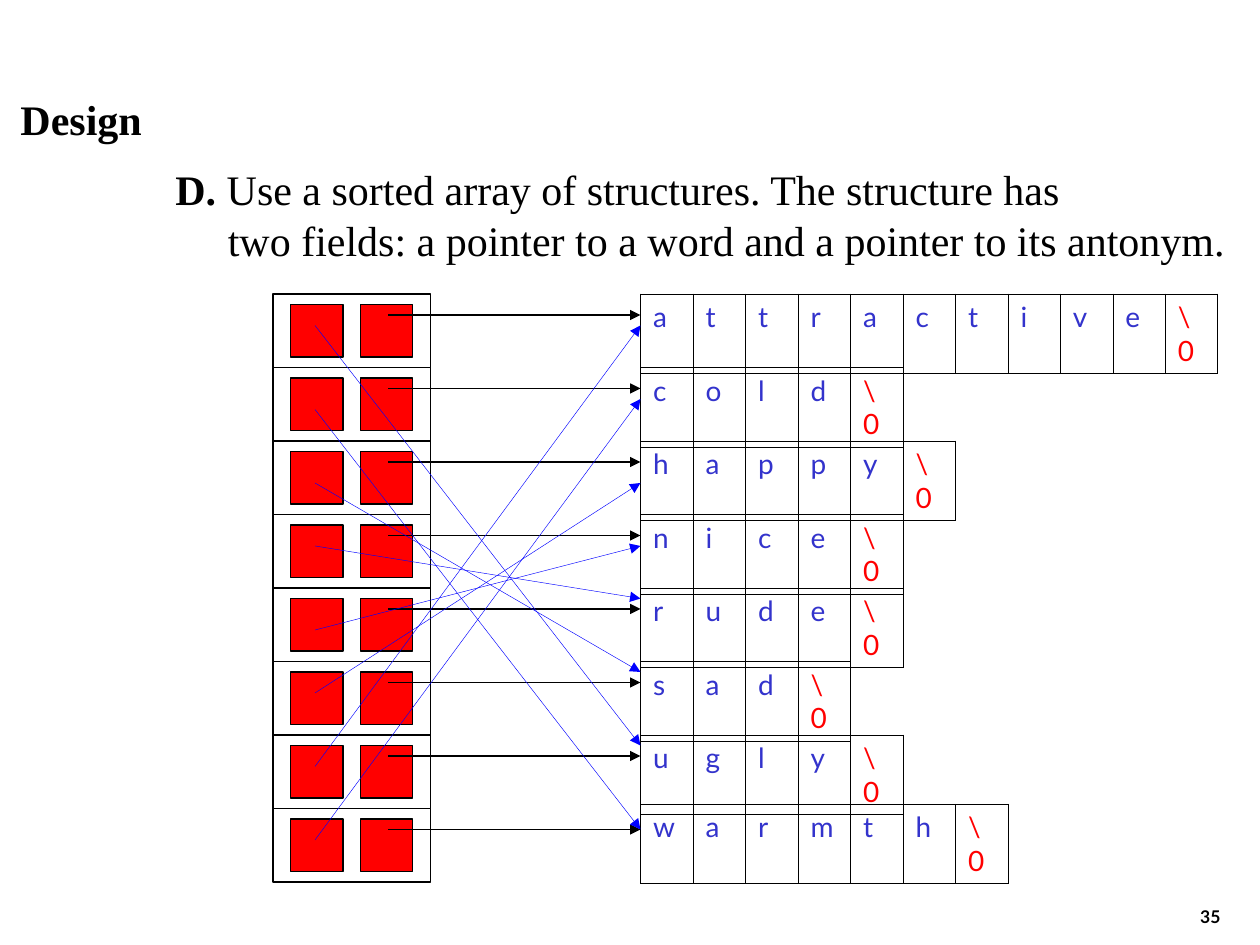
import pptx
import pptx.dml.color
import pptx.enum.shapes
import pptx.enum.text
import pptx.oxml
import pptx.oxml.ns
import pptx.util

Pt = pptx.util.Pt
RGBColor = pptx.dml.color.RGBColor
MSO_SHAPE = pptx.enum.shapes.MSO_SHAPE
MSO_CONNECTOR = pptx.enum.shapes.MSO_CONNECTOR
MSO_ANCHOR = pptx.enum.text.MSO_ANCHOR
MSO_AUTO_SIZE = pptx.enum.text.MSO_AUTO_SIZE
PP_ALIGN = pptx.enum.text.PP_ALIGN
NS = pptx.oxml.ns.nsdecls("a")

BLACK = RGBColor(0x00, 0x00, 0x00)
WHITE = RGBColor(0xFF, 0xFF, 0xFF)
RED = RGBColor(0xFF, 0x00, 0x00)
BLUE = RGBColor(0x00, 0x00, 0xFF)
INDIGO = RGBColor(0x33, 0x33, 0xCC)

TITLE = "Design"
BODY = [
    (0, [("D. ", True), ("Use a sorted array of structures. The structure has", False)]),
    (30, [("two fields: a pointer to a word and a pointer to its antonym.", False)]),
]
NUMBER = "35"
WORDS = ["attractive", "cold", "happy", "nice", "rude", "sad", "ugly", "warmth"]
WORD_TOPS = [168, 210, 252, 294, 336, 378, 420, 459.5]
ANTONYMS = [
    ("attractive", 18, "ugly", 6),
    ("cold", 24, "warmth", 14.5),
    ("happy", 24, "sad", 6),
    ("nice", 18, "rude", 6),
    ("rude", 24, "nice", 18),
    ("sad", 18, "happy", 24),
    ("ugly", 18, "attractive", 18),
    ("warmth", 18, "cold", 18),
]

ARRAY_X, ARRAY_Y, ARRAY_W, PITCH = 156, 168, 90, 42
FIELD_XS, FIELD_DY, FIELD = (205.9, 166), 6, 30
WORD_X, COL_W, ROW_H = 366, 30, 27
HEADING = {"name": "Times New Roman", "size": Pt(24), "color": BLACK}
LETTER = {"name": "Lato", "size": Pt(16)}


def style(font, formats):
    for key, value in formats.items():
        if key == "color":
            font.color.rgb = value
        else:
            setattr(font, key, value)


def frame(sp, box, anchor):
    for key, value in zip(("left", "top", "width", "height"), box):
        setattr(sp, key, Pt(value))
    tf = sp.text_frame
    for key, value in {"auto_size": MSO_AUTO_SIZE.NONE, "word_wrap": True,
                       "vertical_anchor": anchor}.items():
        setattr(tf, key, value)
    return tf


def add_box(shapes, x, y, w, h, fill):
    sp = shapes.add_shape(MSO_SHAPE.RECTANGLE, Pt(x), Pt(y), Pt(w), Pt(h))
    sp.shadow.inherit = False
    sp.fill.solid()
    sp.fill.fore_color.rgb = fill
    sp.line.color.rgb = BLACK
    sp.line.width = Pt(0.75)


def add_arrow(shapes, x1, y1, x2, y2, color, width):
    c = shapes.add_connector(MSO_CONNECTOR.STRAIGHT, Pt(x1), Pt(y1), Pt(x2), Pt(y2))
    c.line.color.rgb = color
    c.line.width = Pt(width)
    c.line._get_or_add_ln().append(
        pptx.oxml.parse_xml(f'<a:tailEnd {NS} type="triangle"/>'))
    c._element.spPr.append(pptx.oxml.parse_xml(f"<a:effectLst {NS}/>"))


def add_borders(cell):
    tcPr = cell._tc.get_or_add_tcPr()
    for i, side in enumerate(("lnL", "lnR", "lnT", "lnB")):
        tcPr.insert(i, pptx.oxml.parse_xml(
            f'<a:{side} {NS} w="{Pt(0.45)}"><a:solidFill>'
            f'<a:srgbClr val="{BLACK}"/></a:solidFill></a:{side}>'))


def add_word(shapes, word, y):
    letters = list(word) + ["\\0"]
    n = len(letters)
    table = shapes.add_table(1, n, Pt(WORD_X), Pt(y), Pt(n * COL_W), Pt(ROW_H)).table
    table.first_row = table.horz_banding = False
    for i, letter in enumerate(letters):
        table.columns[i].width = Pt(COL_W)
        cell = table.cell(0, i)
        cell.fill.background()
        add_borders(cell)
        r = cell.text_frame.paragraphs[0].add_run()
        r.text = letter
        style(r.font, {**LETTER, "color": RED if i == n - 1 else INDIGO})


prs = pptx.Presentation()
prs.slide_width, prs.slide_height = Pt(720), Pt(540)
s = prs.slides.add_slide(prs.slide_layouts[1])

tf = frame(s.shapes.title, (4.5, 49.7, 155.5, 36), MSO_ANCHOR.TOP)
p = tf.paragraphs[0]
p.alignment = PP_ALIGN.LEFT
r = p.add_run()
r.text = TITLE
style(r.font, {**HEADING, "bold": True})

tf = frame(s.placeholders[1], (93, 90, 624, 65), MSO_ANCHOR.TOP)
for i, (indent, runs) in enumerate(BODY):
    p = tf.add_paragraph() if i else tf.paragraphs[0]
    pPr = p._p.get_or_add_pPr()
    pPr.set("marL", str(Pt(indent)))
    pPr.set("indent", "0")
    pPr.append(pptx.oxml.parse_xml(f"<a:buNone {NS}/>"))
    p.space_before = Pt(0)
    for text, bold in runs:
        r = p.add_run()
        r.text = text
        style(r.font, {**HEADING, "bold": bold})

for word, y in zip(WORDS, WORD_TOPS):
    add_word(s.shapes, word, y)

for i in range(len(WORDS)):
    y = ARRAY_Y + i * PITCH
    group = s.shapes.add_group_shape().shapes
    add_box(group, ARRAY_X, y, ARRAY_W, PITCH, WHITE)
    for x in FIELD_XS:
        add_box(group, x, y + FIELD_DY, FIELD, FIELD, RED)
    add_arrow(group, 222, y + 12, WORD_X, y + 12, BLACK, 0.75)

for word, dy1, antonym, dy2 in ANTONYMS:
    add_arrow(s.shapes, 180, ARRAY_Y + WORDS.index(word) * PITCH + dy1,
              WORD_X, WORD_TOPS[WORDS.index(antonym)] + dy2, BLUE, 0.25)

sp = s.shapes.add_textbox(0, 0, 0, 0)
tf = frame(sp, (554.5, 497.5, 150, 36), MSO_ANCHOR.BOTTOM)
p = tf.paragraphs[0]
p.alignment = PP_ALIGN.RIGHT
r = p.add_run()
r.text = NUMBER
style(r.font, {"name": "Lato", "size": Pt(10), "bold": True, "color": BLACK})

prs.save("out.pptx")
